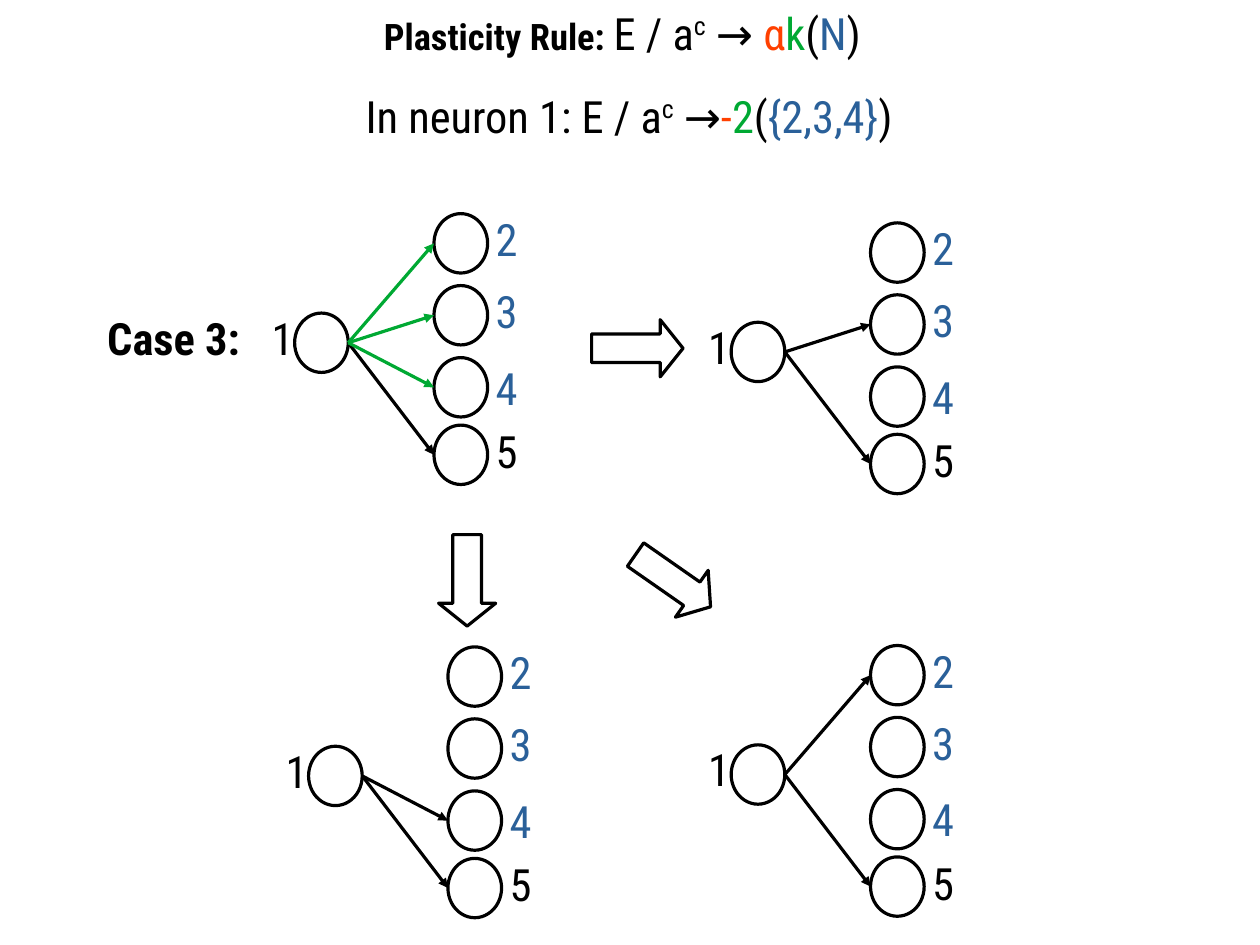
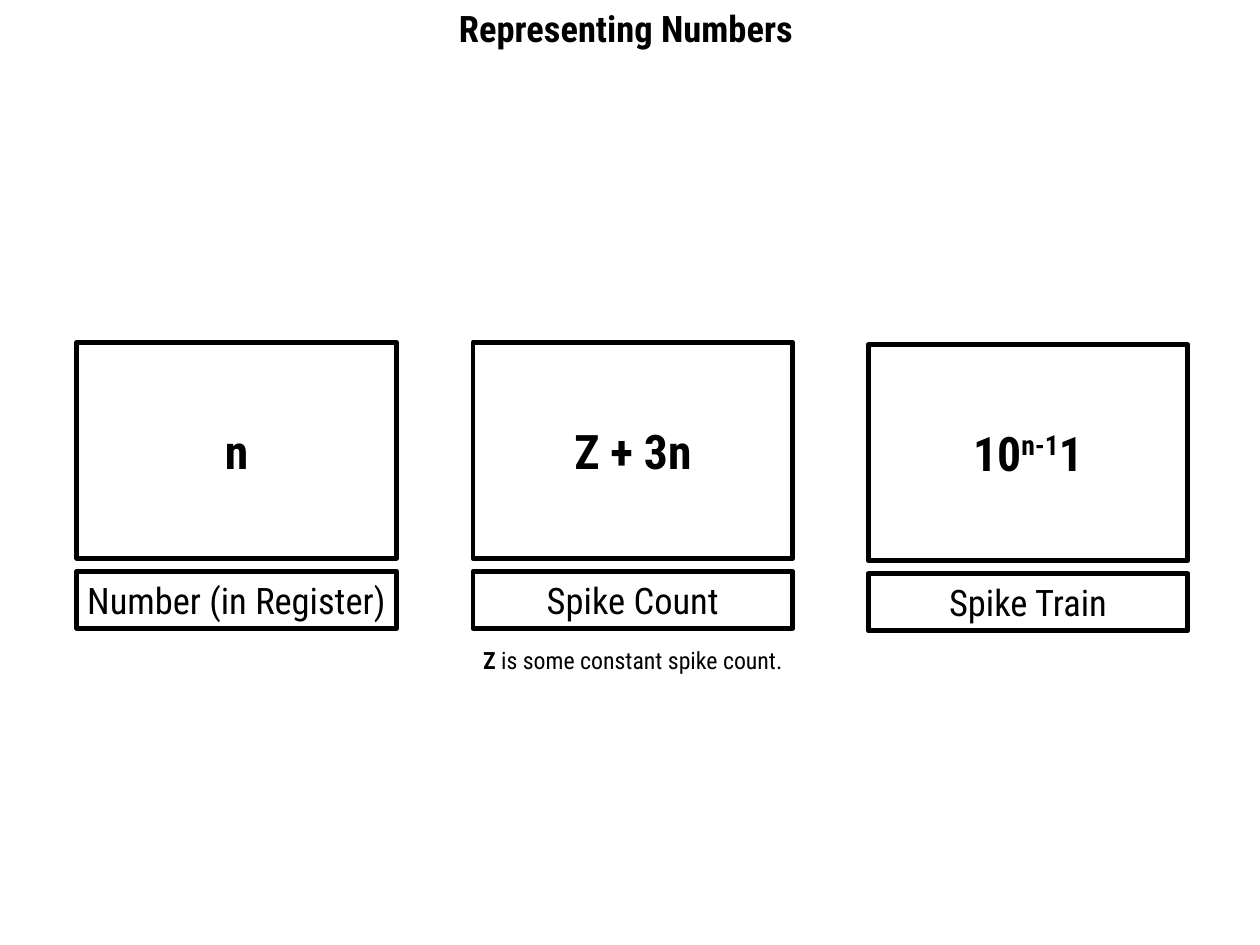
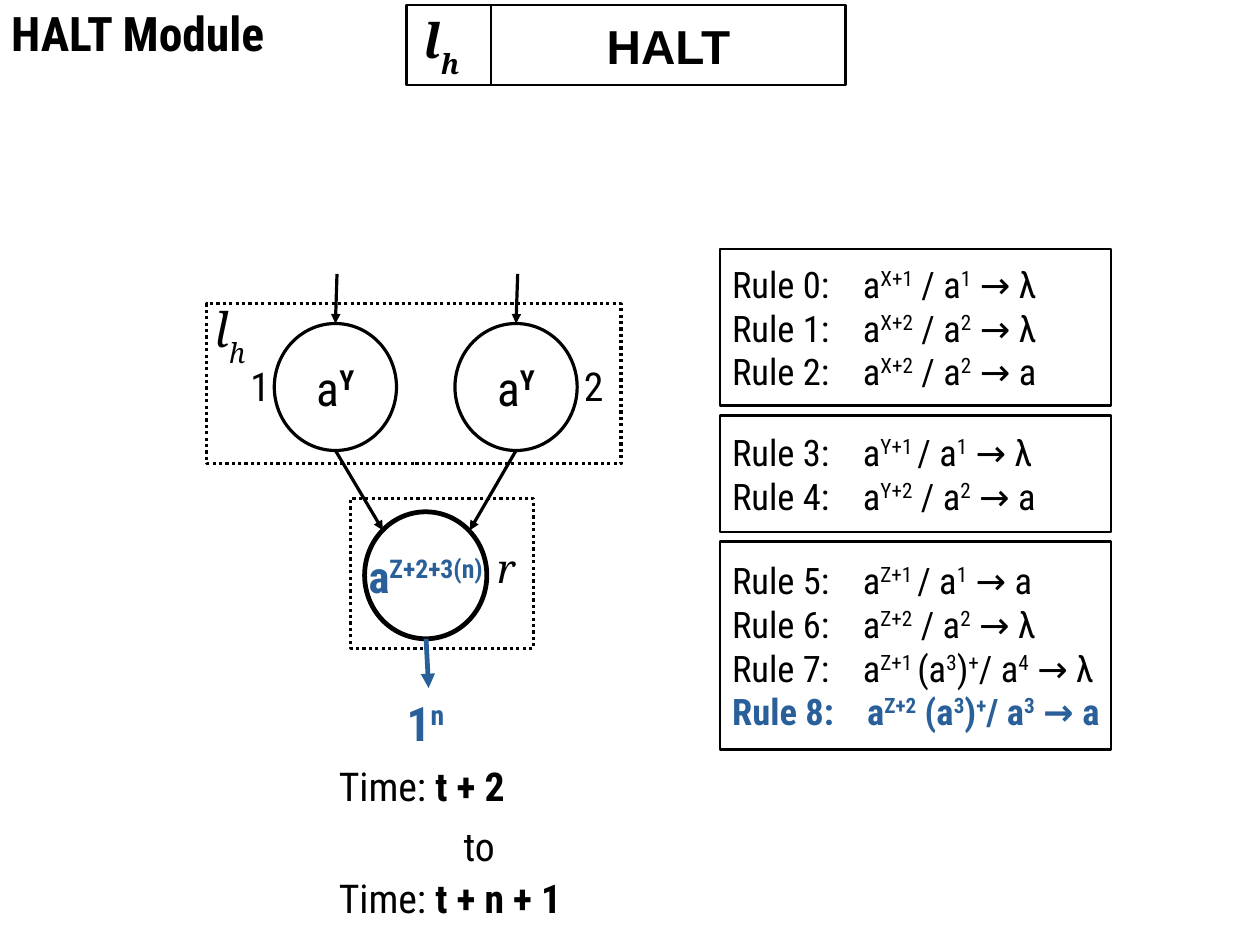
from typing import NamedTuple, Optional

from lxml.etree import SubElement
from pptx import Presentation
from pptx.dml.color import RGBColor
from pptx.enum.dml import MSO_LINE
from pptx.enum.shapes import MSO_CONNECTOR, MSO_SHAPE
from pptx.enum.text import MSO_ANCHOR, PP_ALIGN
from pptx.oxml.ns import qn
from pptx.util import Pt

COLORS = {"black": "000000", "blue": "2A6099", "green": "00A933", "orange": "FF4000"}
BODY_FONT, MATH_FONT, HALT_FONT = "Roboto Condensed", "Noto Serif", "Arial"
SUPER, SUB = 33000, -33000


class Run(NamedTuple):
    """A stretch of text; None takes the format of the whole text."""
    text: str
    color: Optional[str] = None
    bold: Optional[bool] = None
    size: Optional[float] = None
    baseline: int = 0


class Network(NamedTuple):
    """Neuron 1 at left, top, with its synapses as target -> colour."""
    left: float
    top: float
    synapses: dict


class Target(NamedTuple):
    """A neuron on the right of a network, placed relative to neuron 1."""
    dy: float
    label_dy: float
    color: str


class Representation(NamedTuple):
    left: float
    top: float
    formula: str
    caption: str


class RuleBox(NamedTuple):
    top: float
    height: float
    rules: list


# Shared drawing functions
def rgb(color: str) -> RGBColor:
    return RGBColor.from_string(COLORS[color])


def marked(text: str) -> list:
    """Split at bars: every second part is superscript."""
    return [Run(part, baseline=SUPER * (i % 2)) for i, part in enumerate(text.split("|"))]


def write(shape, *paragraphs, size: float = 28, color: str = "black", bold: bool = False,
          italic: bool = False, font: str = BODY_FONT, align=PP_ALIGN.LEFT,
          anchor=MSO_ANCHOR.TOP, wrap: bool = True, inset: tuple = (7.2, 3.6, 7.2, 3.6),
          tabs: tuple = ()):
    """Fill a shape with paragraphs, each a marked string or a list of runs."""
    frame = shape.text_frame
    frame.word_wrap, frame.vertical_anchor = wrap, anchor
    frame.margin_left, frame.margin_top, frame.margin_right, frame.margin_bottom = map(Pt, inset)
    for i, content in enumerate(paragraphs):
        paragraph = frame.paragraphs[0] if i == 0 else frame.add_paragraph()
        paragraph.alignment = align
        if tabs:
            tab_list = SubElement(paragraph._p.get_or_add_pPr(), qn("a:tabLst"))
            SubElement(tab_list, qn("a:tab"), pos=str(Pt(tabs[i])), algn="l")
        for part in marked(content) if isinstance(content, str) else content:
            run = paragraph.add_run()
            run.text = part.text
            run.font.name, run.font.italic = font, italic
            run.font.size = Pt(part.size or size)
            run.font.bold = bold if part.bold is None else part.bold
            run.font.color.rgb = rgb(part.color or color)
            if part.baseline:
                run._r.get_or_add_rPr().set("baseline", str(part.baseline))


def label(slide, left: float, top: float, width: float, height: float, *paragraphs, **text_format):
    box = slide.shapes.add_textbox(Pt(left), Pt(top), Pt(width), Pt(height))
    write(box, *paragraphs, **text_format)


def outline(slide, kind, left: float, top: float, width: float, height: float,
            weight: float = 2):
    shape = slide.shapes.add_shape(kind, Pt(left), Pt(top), Pt(width), Pt(height))
    shape.shadow.inherit = False
    shape.fill.background()
    shape.line.color.rgb = rgb("black")
    shape.line.width = Pt(weight)
    return shape


def centred(shape, *paragraphs, inset: tuple = (8, 4.5, 8, 4.5), **text_format):
    write(shape, *paragraphs, align=PP_ALIGN.CENTER, anchor=MSO_ANCHOR.MIDDLE,
          wrap=False, inset=inset, **text_format)


def arrow(slide, start: tuple, end: tuple, color: str = "black", weight: float = 2):
    line = slide.shapes.add_connector(MSO_CONNECTOR.STRAIGHT, *map(Pt, start + end))
    line.line.color.rgb = rgb(color)
    line.line.width = Pt(weight)
    SubElement(line.line._get_or_add_ln(), qn("a:tailEnd"), type="triangle")
    SubElement(line._element.spPr, qn("a:effectLst"))


# Slide 1: plasticity rule
NEURON_W, NEURON_H = 33.8, 37.4
TARGET_DX, TARGET_LABEL_DX = 87.8, 119.5
TARGETS = {
    "2": Target(-62.6, -67.2, "blue"),
    "3": Target(-17.3, -21.9, "blue"),
    "4": Target(28.1, 26.4, "blue"),
    "5": Target(70.6, 66.2, "black"),
}
NETWORKS = [
    Network(185.6, 197.2, {"5": "black", "2": "green", "3": "green", "4": "green"}),
    Network(460.6, 203, {"5": "black", "3": "black"}),
    Network(194.4, 470.1, {"5": "black", "4": "black"}),
    Network(460.6, 469.2, {"5": "black", "2": "black"}),
]


def draw_network(slide, network: Network):
    left, top = network.left, network.top
    outline(slide, MSO_SHAPE.OVAL, left, top, NEURON_W, NEURON_H)
    label(slide, left - 21.6, top - 5, 27.4, 44, "1")
    for name, target in TARGETS.items():
        outline(slide, MSO_SHAPE.OVAL, left + TARGET_DX, top + target.dy, NEURON_W, NEURON_H)
        label(slide, left + TARGET_LABEL_DX, top + target.label_dy, 27.4, 44, name,
              color=target.color)
    middle = top + NEURON_H / 2
    for name, color in network.synapses.items():
        arrow(slide, (left + NEURON_W, middle),
              (left + TARGET_DX, middle + TARGETS[name].dy), color)


def plasticity_slide(slide):
    label(slide, 234.7, 0, 320.4, 44, [
        Run("Plasticity Rule: ", bold=True, size=23), *marked("E / a|c| → "),
        Run("α", "orange"), Run("k", "green"), Run("("), Run("N", "blue"), Run(")")])
    label(slide, 223.2, 52.6, 360, 44, [
        *marked("In neuron 1: E / a|c| →"), Run("-", "orange"), Run("2", "green"),
        Run("("), Run("{2,3,4}", "blue"), Run(")")])
    label(slide, 60.5, 192.2, 100.8, 44, "Case 3:", bold=True)
    for network in NETWORKS:
        draw_network(slide, network)

    # Block arrows from the start network to the three outcomes
    for kind, left, top, width, height, rotation in [
        (MSO_SHAPE.RIGHT_ARROW, 372.7, 201.4, 57.6, 36, 0),
        (MSO_SHAPE.DOWN_ARROW, 276.3, 336.8, 36, 57.6, 0),
        (MSO_SHAPE.DOWN_ARROW, 406, 337, 36, 57.6, 304.9),
    ]:
        outcome = outline(slide, kind, left, top, width, height)
        outcome.adjustments[0], outcome.adjustments[1] = 0.5, 0.4
        outcome.rotation = rotation


# Slide 2: representing numbers
REPRESENTATIONS = [
    Representation(48.4, 215.7, "n", "Number (in Register)"),
    Representation(298, 215.7, "Z + 3n", "Spike Count"),
    Representation(546.9, 217.1, "10|n-1|1", "Spike Train"),
]


def numbers_slide(slide):
    label(slide, 282, 0, 229, 37.4, "Representing Numbers", size=23, bold=True)
    for item in REPRESENTATIONS:
        formula = outline(slide, MSO_SHAPE.RECTANGLE, item.left, item.top, 201.4, 136, 3)
        centred(formula, item.formula, size=30, bold=True)
        caption = outline(slide, MSO_SHAPE.RECTANGLE, item.left, item.top + 144.2, 201.4, 36, 3)
        centred(caption, item.caption, size=23)
    label(slide, 297.2, 403.2, 206.6, 26.6,
          [Run("Z", bold=True), Run(" is some constant spike count.")], size=15)


# Slide 3: HALT module
CELL_W, CELL_H = 77, 80
RULE_BOXES = [
    RuleBox(157, 98.6, ["a|X+1| / a|1| → λ", "a|X+2| / a|2| → λ", "a|X+2| / a|2| → a"]),
    RuleBox(261.8, 73.2, ["a|Y+1 |/ a|1| → λ", "a|Y+2| / a|2| → a"]),
    RuleBox(341.2, 131, ["a|Z+1 |/ a|1| → a", "a|Z+2| / a|2| → λ",
                         "a|Z+1 |(a|3|)|+|/ a|4| → λ", "a|Z+2| (a|3|)|+|/ a|3| → a"]),
]
ACTIVE_RULE = 8


def draw_rules(slide):
    number = 0
    for box in RULE_BOXES:
        lines, tabs = [], []
        for rule in box.rules:
            active = number == ACTIVE_RULE
            lines.append([run._replace(color="blue", bold=True) if active else run
                          for run in marked(f"Rule {number}:\t{rule}")])
            tabs.append(85 if active else 82.4)
            number += 1
        frame = outline(slide, MSO_SHAPE.RECTANGLE, 453.6, box.top, 246.2, box.height, 1.5)
        write(frame, *lines, size=23, anchor=MSO_ANCHOR.MIDDLE, inset=(7.6, 4.5, 0, 4.5),
              tabs=tuple(tabs))


def halt_slide(slide):
    # Title and instruction
    label(slide, 0, -1.4, 180, 46.8, "HALT Module", size=30, bold=True)
    module_name = [Run("l"), Run("h", baseline=SUB)]
    name_cell = outline(slide, MSO_SHAPE.RECTANGLE, 256, 3.3, 53.5, 50.4, 1.5)
    centred(name_cell, module_name, size=30, bold=True, italic=True, font=MATH_FONT,
            inset=(8, 4.5, 17, 4.5))
    halt_cell = outline(slide, MSO_SHAPE.RECTANGLE, 309.5, 3.3, 223.2, 50.4, 1.5)
    centred(halt_cell, "HALT", size=30, bold=True, font=HALT_FONT)

    # Dotted frames of the module and the register
    for frame_box in [(130.2, 191.3, 261, 100.8), (221, 314, 115.2, 94.3)]:
        frame = outline(slide, MSO_SHAPE.RECTANGLE, *frame_box)
        frame.line.dash_style = MSO_LINE.ROUND_DOT
    label(slide, 128, 185.5, 37.4, 54, module_name, size=30, italic=True, font=MATH_FONT)
    label(slide, 306, 339, 22.3, 41, "r", size=25, italic=True, font=MATH_FONT)

    # Neurons 1 and 2 feed the register neuron
    cell_top, register_left, register_top = 203.8, 229.7, 322.4
    for name, left, label_left, entry in [
        ("1", 172.8, 150.7, 241.2), ("2", 286.6, 360.7, 295.9),
    ]:
        neuron = outline(slide, MSO_SHAPE.OVAL, left, cell_top, CELL_W, CELL_H)
        centred(neuron, [Run("a"), Run("Y", bold=True, baseline=SUPER)], size=30)
        label(slide, label_left, 224.4, 28.8, 46.8, name, size=25)
        middle = left + CELL_W / 2
        arrow(slide, (middle + 1, 172.6), (middle, cell_top))
        arrow(slide, (middle, cell_top + CELL_H), (entry, 334.1))
    register = outline(slide, MSO_SHAPE.OVAL, register_left, register_top, CELL_W, CELL_H, 3)
    centred(register, "a|Z+2+3(n)", color="blue", bold=True)

    # Output and its time span
    arrow(slide, (268.4, register_top + CELL_H), (270, 433.4), "blue", 3)
    label(slide, 249, 433.4, 41.8, 49.7, "1|n", size=30, color="blue", bold=True)
    label(slide, 206.4, 476.3, 175, 40.3, [Run("Time: "), Run("t + 2", bold=True)], size=25)
    label(slide, 285, 514, 38.2, 40.3, "to", size=25)
    label(slide, 206.4, 547.2, 175, 40.3, [Run("Time: "), Run("t + n + 1", bold=True)], size=25)

    draw_rules(slide)


def main():
    deck = Presentation()
    deck.slide_width, deck.slide_height = Pt(793.7), Pt(595.28)
    blank = deck.slide_layouts[6]
    for build in (plasticity_slide, numbers_slide, halt_slide):
        build(deck.slides.add_slide(blank))
    deck.save("out.pptx")


if __name__ == "__main__":
    main()
